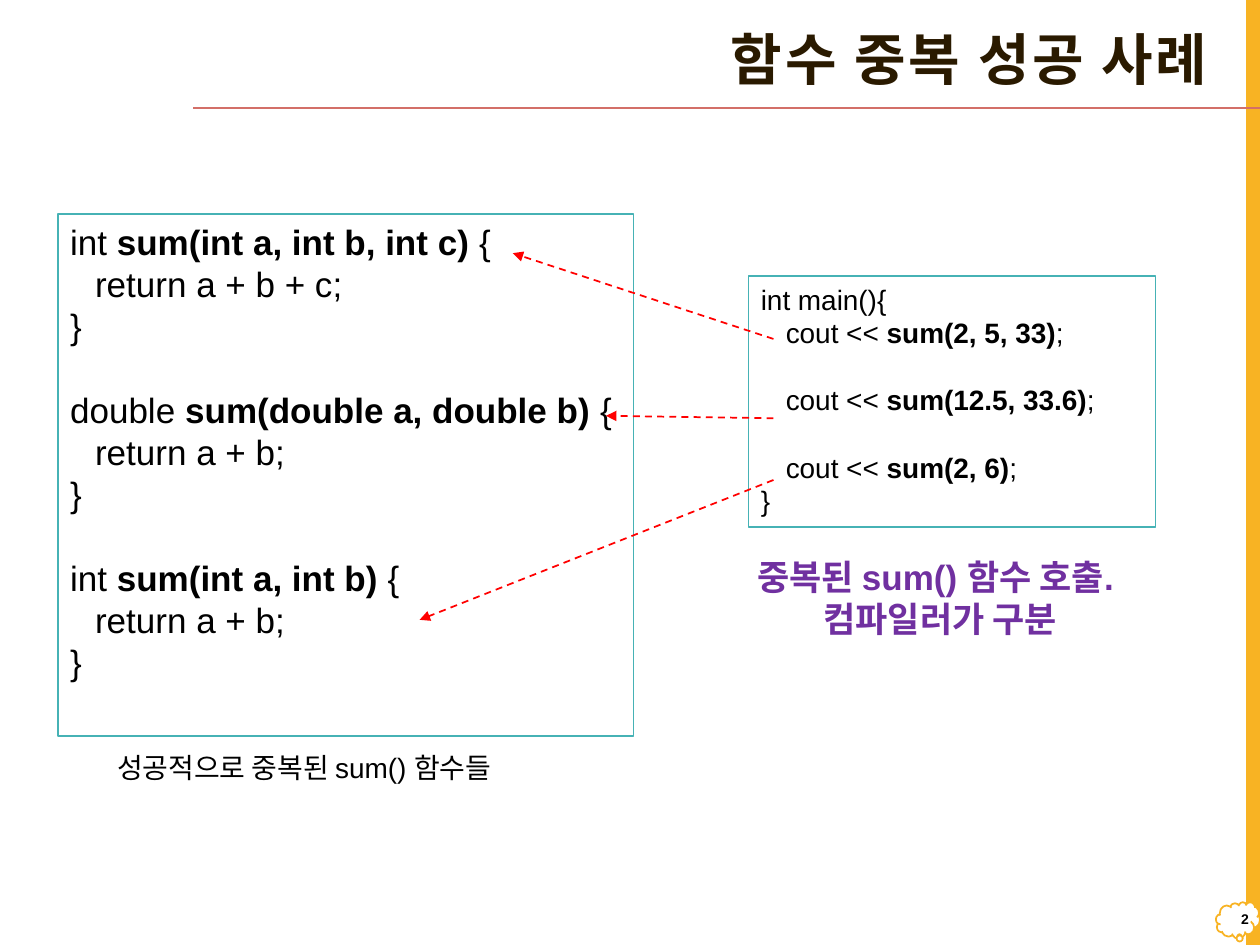
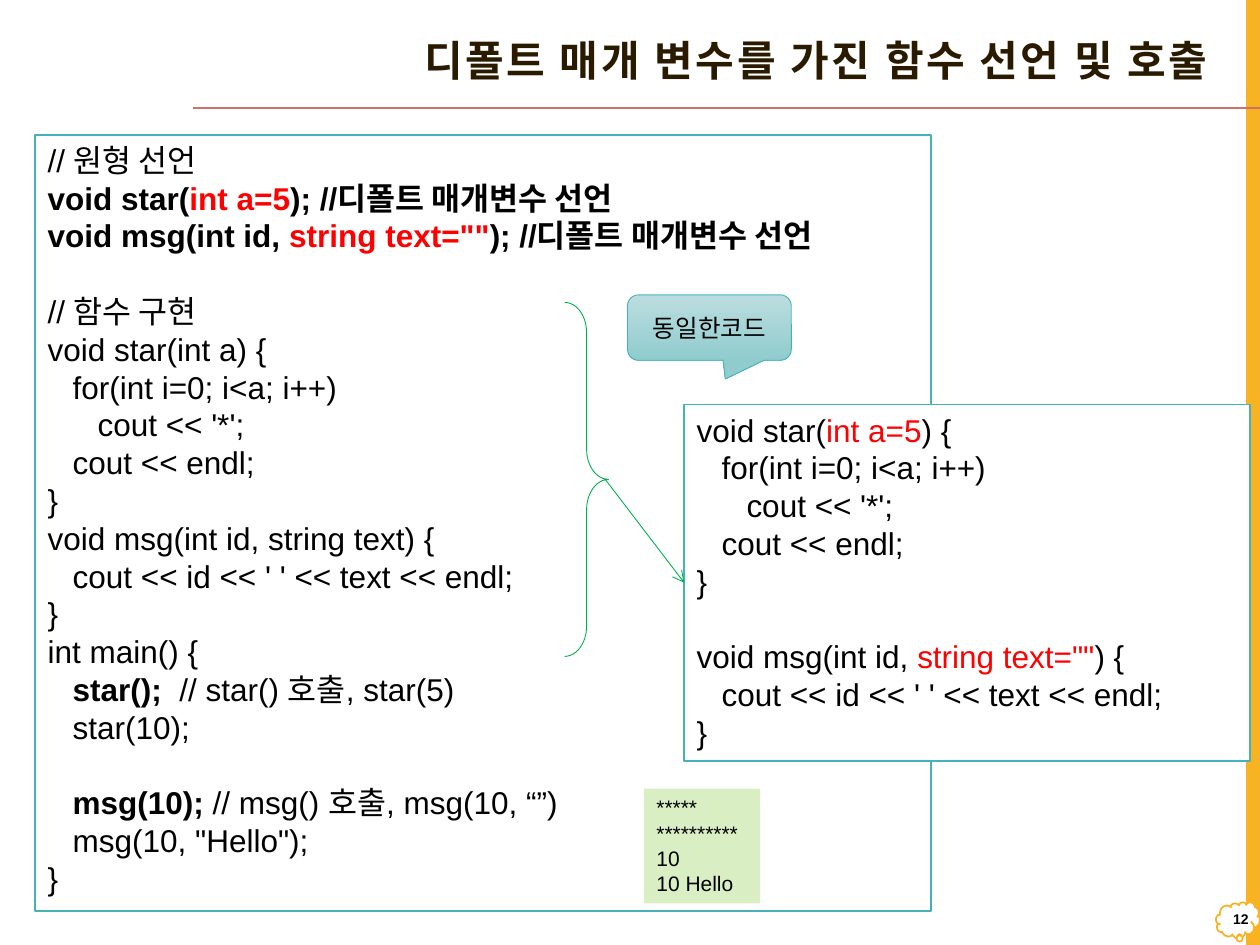
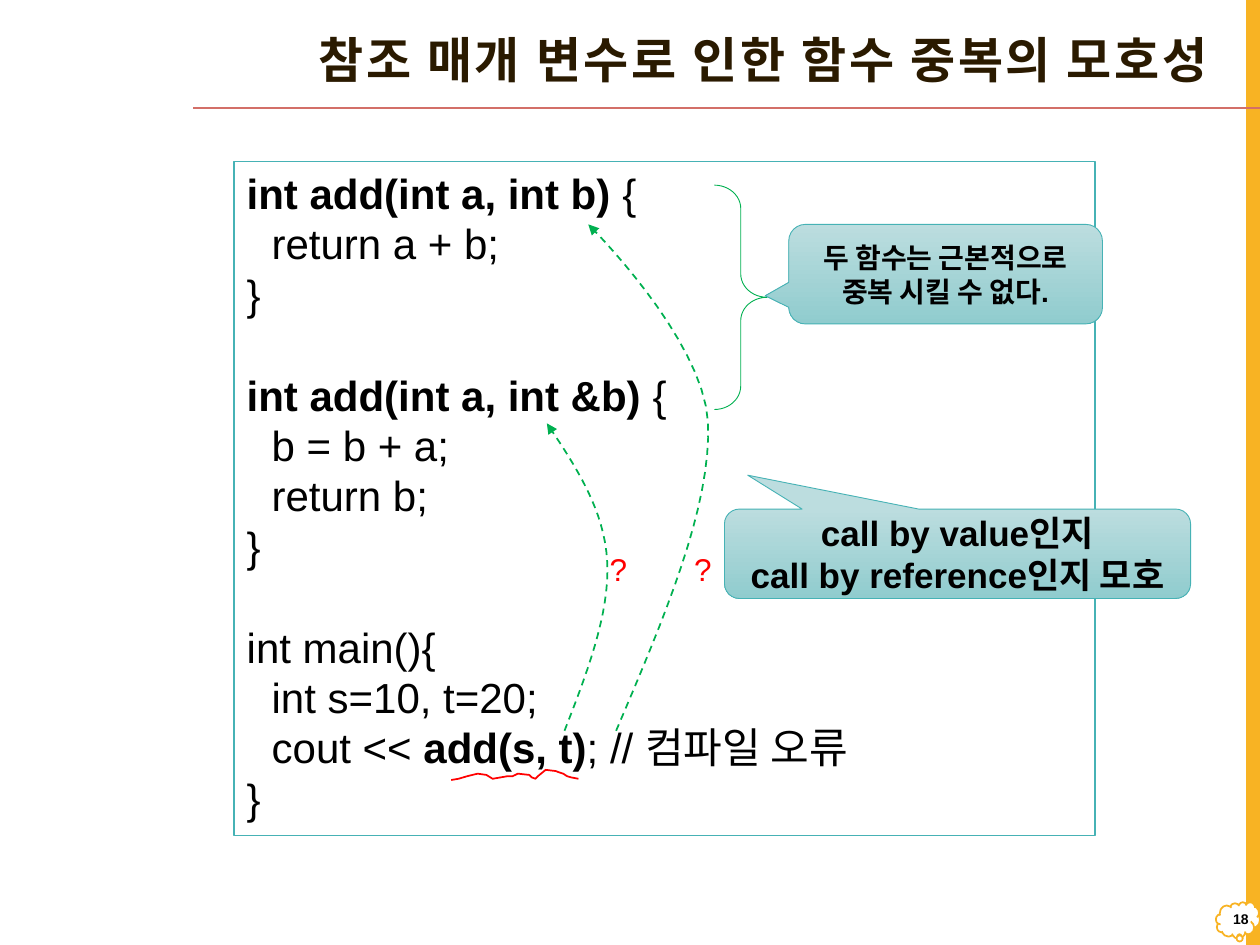
"""Builds three slides on C++ function overloading and default parameters."""
from dataclasses import dataclass

from lxml import etree
from pptx import Presentation
from pptx import util as u
from pptx.dml.color import RGBColor
from pptx.enum import dml, shapes, text
from pptx.oxml.ns import qn


@dataclass(frozen=True)
class Theme:
    """Colours, fonts and type sizes of the deck."""
    ink: str = "000000"
    title: str = "2A1A00"
    paper: str = "FFFFFF"
    band: str = "F8B323"
    rule: str = "D36F68"
    frame: str = "46B2B5"
    red: str = "FF0000"
    green: str = "00B050"
    purple: str = "7030A0"
    output: str = "DAEEC4"
    callout: tuple = ("BCDDDF", "90CCCE")
    font: str = "Arial"
    title_font: str = "Arial Narrow"
    number: int = 8
    small: int = 12
    note: int = 14
    body: int = 16
    code: int = 18
    large: int = 20
    huge: int = 24
    leading: float = 1.2
    tab: float = 14.25


T = Theme()
S = shapes.MSO_SHAPE
A = text.PP_ALIGN

STYLES = {
    "plain": ({"bold": False}, T.ink),
    "bold": ({"bold": True}, T.ink),
    "red": ({"bold": False}, T.red),
    "bold red": ({"bold": True}, T.red),
    "bold purple": ({"bold": True}, T.purple),
}

SUM_FUNCTIONS = [
    ["int ", ("sum(int a, int b, int c) ", "bold"), "{"],
    "\treturn a + b + c;",
    "}",
    "",
    ["double ", ("sum(double a, double b) ", "bold"), "{"],
    "\treturn a + b;",
    "}",
    "",
    ["int ", ("sum(int a, int b) ", "bold"), "{"],
    "\treturn a + b;",
    "}",
]
SUM_CALLS = [
    "int main(){",
    ["\tcout << ", ("sum(2, 5, 33)", "bold"), ";"],
    "",
    ["\tcout << ", ("sum(12.5, 33.6)", "bold"), ";"],
    "",
    ["\tcout << ", ("sum(2, 6)", "bold"), ";"],
    "}",
]
STAR_BODY = ["\tfor(int i=0; i<a; i++)", "\t\tcout << '*';", "\tcout << endl;", "}"]
MSG_BODY = ["\tcout << id << ' ' << text << endl;", "}"]
COMMENT = ("); //디폴트 매개변수 선언", "bold")
SEPARATE = [
    "// 원형 선언",
    [("void star(", "bold"), ("int a=5", "bold red"), COMMENT],
    [("void msg(int id, ", "bold"), ('string text=""', "bold red"), COMMENT],
    "",
    "// 함수 구현",
    "void star(int a) {",
    *STAR_BODY,
    "void msg(int id, string text) {",
    *MSG_BODY,
    "int main() {",
    ["\t", ("star(); ", "bold"), " // star() 호출, star(5)"],
    "\tstar(10);",
    "",
    ["\t", ("msg(10);", "bold"), " // msg() 호출, msg(10, “”)"],
    '\tmsg(10, "Hello");',
    "}",
]
COMBINED = [
    ["void star(", ("int a=5", "red"), ") {"],
    *STAR_BODY,
    "",
    ["void msg(int id, ", ('string text=""', "red"), ") {"],
    *MSG_BODY,
]
ADD_FUNCTIONS = [
    [("int add(int a, int b) ", "bold"), "{"],
    "\treturn a + b;",
    "}",
    "",
    [("int add(int a, int &b) ", "bold"), "{"],
    "\tb = b + a;",
    "\treturn b;",
    "}",
    "",
    "int main(){",
    "\tint s=10, t=20;",
    ["\tcout << ", ("add(s, t)", "bold"), "; // 컴파일 오류"],
    "}",
]
CALL_ARROWS = [
    ((442, 193.7), (293, 144.7)),
    ((442, 239), (346.3, 237.6)),
    ((442, 274.3), (239.8, 354.2)),
]
QUESTION_LEFTS = (341.3, 389.5)
GUESS_CURVES = [
    [(322.6, 417.6), (335.5, 384.5), (348.5, 350.6), (347, 321.1),
     (345.6, 291.6), (329, 266.4), (312.5, 241.9)],
    [(352.1, 417.6), (379.4, 353.5), (406.8, 289.4), (404.6, 241.2),
     (401.8, 193), (336.2, 128.2), (336.2, 128.2)],
]
ERROR_WAVE = [
    (257.8, 445.7), (262, 445), (267.1, 443.5), (272.9, 442.1), (277.9, 442.8),
    (281.5, 445), (290.2, 443.5), (293, 443.5), (295.9, 442.1), (302.4, 442.8),
    (303.8, 444.2), (306, 445), (307.4, 443.5), (311.8, 439.9), (317.5, 440.6),
    (319.7, 441.4), (321.8, 442.1), (324, 443.5), (326.2, 444.2), (330.5, 445),
]


def rgb(color):
    """Turn a hex string into a colour."""
    return RGBColor.from_string(color)


def pts(values):
    """Turn numbers into lengths in points."""
    return [u.Pt(v) for v in values]


def put_text(sp, lines, size, style="plain", align=A.LEFT, anchor="TOP", wrap=True):
    """Write lines of styled runs; an empty line becomes space before the next."""
    tf = sp.text_frame
    tf.word_wrap = wrap
    tf.vertical_anchor = getattr(text.MSO_ANCHOR, anchor)
    pitch = size * T.leading
    gap = 0
    p = tf.paragraphs[0]
    for n, line in enumerate(lines):
        if not line:
            gap += pitch
            continue
        p = tf.add_paragraph() if n else p
        runs = [line] if isinstance(line, str) else line
        if any("\t" in run for run in runs):
            tabs = etree.SubElement(p._p.get_or_add_pPr(), qn("a:tabLst"))
            for stop in (1, 2):
                etree.SubElement(tabs, qn("a:tab"), pos=str(u.Pt(T.tab * stop)), algn="l")
        fmt = {"alignment": align, "line_spacing": u.Pt(pitch), "space_before": u.Pt(gap)}
        for name, value in fmt.items():
            setattr(p, name, value)
        gap = 0
        for run in runs:
            words, look = (run, style) if isinstance(run, str) else run
            weight, color = STYLES[look]
            r = p.add_run()
            r.text = words
            for name, value in {"name": T.font, "size": u.Pt(size), **weight}.items():
                setattr(r.font, name, value)
            r.font.color.rgb = rgb(color)


def add_label(s, box, lines, size, fill=None, grow=True, **fmt):
    """Add a text box that fits its text."""
    sp = s.shapes.add_textbox(*pts(box))
    if fill:
        sp.fill.solid()
        sp.fill.fore_color.rgb = rgb(fill)
    put_text(sp, lines, size, wrap=False, **fmt)
    if grow:
        sp.text_frame.auto_size = text.MSO_AUTO_SIZE.SHAPE_TO_FIT_TEXT
    return sp


def add_figure(s, kind, box, fill=None, line=None, width=1.0, adj=()):
    """Add a preset shape with a flat, graded or empty fill."""
    sp = s.shapes.add_shape(kind, *pts(box))
    sp.shadow.inherit = False
    for n, value in enumerate(adj):
        sp.adjustments[n] = value
    if isinstance(fill, tuple):
        sp.fill.gradient()
        sp.fill.gradient_angle = 270
        for stop, color, at in zip(sp.fill.gradient_stops, fill, (0, 1)):
            stop.color.rgb = rgb(color)
            stop.position = at
    elif fill:
        sp.fill.solid()
        sp.fill.fore_color.rgb = rgb(fill)
    else:
        sp.fill.background()
    if line:
        set_line(sp, line, width)
    else:
        sp.line.fill.background()
    return sp


def set_line(sp, color, width=1.0, dashed=False, head=None):
    """Format a line and its arrowhead."""
    sp.line.color.rgb = rgb(color)
    sp.line.width = u.Pt(width)
    if dashed:
        sp.line.dash_style = dml.MSO_LINE.DASH
    if head:
        etree.SubElement(sp.line._get_or_add_ln(), qn("a:tailEnd"), type=head)


def add_code(s, box, lines, size):
    """Add a framed code listing."""
    sp = add_figure(s, S.RECTANGLE, box, T.paper, T.frame)
    put_text(sp, lines, size)
    return sp


def add_callout(s, box, lines, size, adj, style="bold"):
    """Add a graded speech bubble."""
    sp = add_figure(s, S.ROUNDED_RECTANGULAR_CALLOUT, box, T.callout, T.frame, 0.5, adj)
    put_text(sp, lines, size, style, A.CENTER, "MIDDLE")


def add_brace(s, box, curl):
    """Add a green brace that points right."""
    add_figure(s, S.RIGHT_BRACE, box, None, T.green, 0.5, (curl, 0.5))


def add_line(s, start, end, color, **fmt):
    """Add a straight connector."""
    sp = s.shapes.add_connector(shapes.MSO_CONNECTOR.STRAIGHT, *pts((*start, *end)))
    set_line(sp, color, **fmt)
    etree.SubElement(sp._element.spPr, qn("a:effectLst"))
    return sp


def add_stroke(s, points, color, **fmt):
    """Add an open outline through the points."""
    start, *rest = [pts(point) for point in points]
    pen = s.shapes.build_freeform(*start)
    pen.add_line_segments(rest, close=False)
    sp = pen.convert_to_shape()
    sp.shadow.inherit = False
    sp.fill.background()
    set_line(sp, color, **fmt)


def bezier(knots, steps=16):
    """Sample a chain of cubic curves."""
    points = [knots[0]]
    for n in range(0, len(knots) - 1, 3):
        for step in range(1, steps + 1):
            t = step / steps
            weights = ((1 - t) ** 3, 3 * t * (1 - t) ** 2, 3 * t * t * (1 - t), t ** 3)
            points.append(tuple(sum(w * k[axis] for w, k in zip(weights, knots[n:n + 4]))
                                for axis in (0, 1)))
    return points


def add_page(prs, title, size, number, font=T.title_font):
    """Add a slide with its band, rule, title and number."""
    s = prs.slides.add_slide(prs.slide_layouts[5])
    add_figure(s, S.RECTANGLE, (712.1, 0, 7.9, 540), T.band)
    add_figure(s, S.CLOUD_CALLOUT, (694.8, 515.5, 25.2, 20.9), T.paper, T.band,
               adj=(0.034, 0.431))
    add_line(s, (720, 61.9), (110.2, 61.9), T.rule)
    sp = s.shapes.title
    sp.left, sp.top, sp.width, sp.height = pts((95, 9.4, 602.6, 52.6))
    tf = sp.text_frame
    tf.auto_size = text.MSO_AUTO_SIZE.NONE
    tf.vertical_anchor = text.MSO_ANCHOR.MIDDLE
    p = tf.paragraphs[0]
    p.alignment, p.line_spacing = A.RIGHT, 0.9
    r = p.add_run()
    r.text = title
    for name, value in {"name": font, "size": u.Pt(size), "bold": True}.items():
        setattr(r.font, name, value)
    r.font.color.rgb = rgb(T.title)
    r.font._element.set("spc", "150")
    add_label(s, (695.5, 512.6, 25.2, 25.2), [number], T.number, grow=False,
              style="bold", align=A.RIGHT, anchor="MIDDLE")
    return s


def build_overloads(prs):
    """Show calls resolved to three overloads."""
    s = add_page(prs, "함수 중복 성공 사례", 32, "2")
    add_code(s, (33, 122.4, 329, 298), SUM_FUNCTIONS, T.large)
    add_code(s, (427.7, 157.7, 232.6, 143.3), SUM_CALLS, T.body)
    add_label(s, (59.8, 425.5, 249.8, 26.6), ["성공적으로 중복된 sum() 함수들"], T.body)
    add_label(s, (415.4, 313.9, 244, 55.4), ["중복된 sum() 함수 호출. ", "컴파일러가 구분"],
              T.large, style="bold purple", align=A.CENTER)
    for start, end in CALL_ARROWS:
        add_line(s, start, end, T.red, dashed=True, head="triangle")


def build_defaults(prs):
    """Show default parameters declared in two ways."""
    s = add_page(prs, "디폴트 매개 변수를 가진 함수 선언 및 호출", 24, "12", T.font)
    add_code(s, (20.2, 77, 512, 443.5), SEPARATE, T.code)
    add_label(s, (368, 450.7, 66.2, 65.5), ["*****", "**********", "10", "10 Hello"],
              T.small, T.output)
    combined = add_code(s, (391, 231.1, 323.3, 203.8), COMBINED, T.code)
    add_brace(s, (322.6, 172.8, 25.2, 202.3), 0.683)
    arrow = add_line(s, (345.6, 273.6), (391, 333), T.green, width=0.5, head="arrow")
    arrow.end_connect(combined, 1)
    add_callout(s, (358.6, 168.5, 93.6, 37.4), ["동일한코드"], T.note,
                (0.097, 0.787, 0.167), "plain")


def build_ambiguity(prs):
    """Show a call that matches two overloads."""
    s = add_page(prs, "참조 매개 변수로 인한 함수 중복의 모호성", 28, "18")
    add_code(s, (133.9, 92.2, 491.8, 385.2), ADD_FUNCTIONS, T.huge)
    for knots in GUESS_CURVES:
        add_stroke(s, bezier(knots), T.green, dashed=True, head="triangle")
    add_callout(s, (414, 290.9, 266.4, 51.1), ["call by value인지", "call by reference인지 모호"],
                T.large, (-0.45, -0.879, 0.167))
    for left in QUESTION_LEFTS:
        add_label(s, (left, 311, 23, 28.8), ["?"], T.code, style="red")
    add_brace(s, (408.2, 105.8, 30.2, 128.2), 0.444)
    add_callout(s, (450.7, 128.2, 179.3, 56.9), ["두 함수는 근본적으로", "중복 시킬 수 없다."],
                T.body, (-0.575, 0.217, 0.167))
    add_stroke(s, ERROR_WAVE, T.red)


def main():
    """Build and save the deck."""
    prs = Presentation()
    prs.slide_width, prs.slide_height = pts((720, 540))
    for build in (build_overloads, build_defaults, build_ambiguity):
        build(prs)
    prs.save("out.pptx")


if __name__ == "__main__":
    main()
